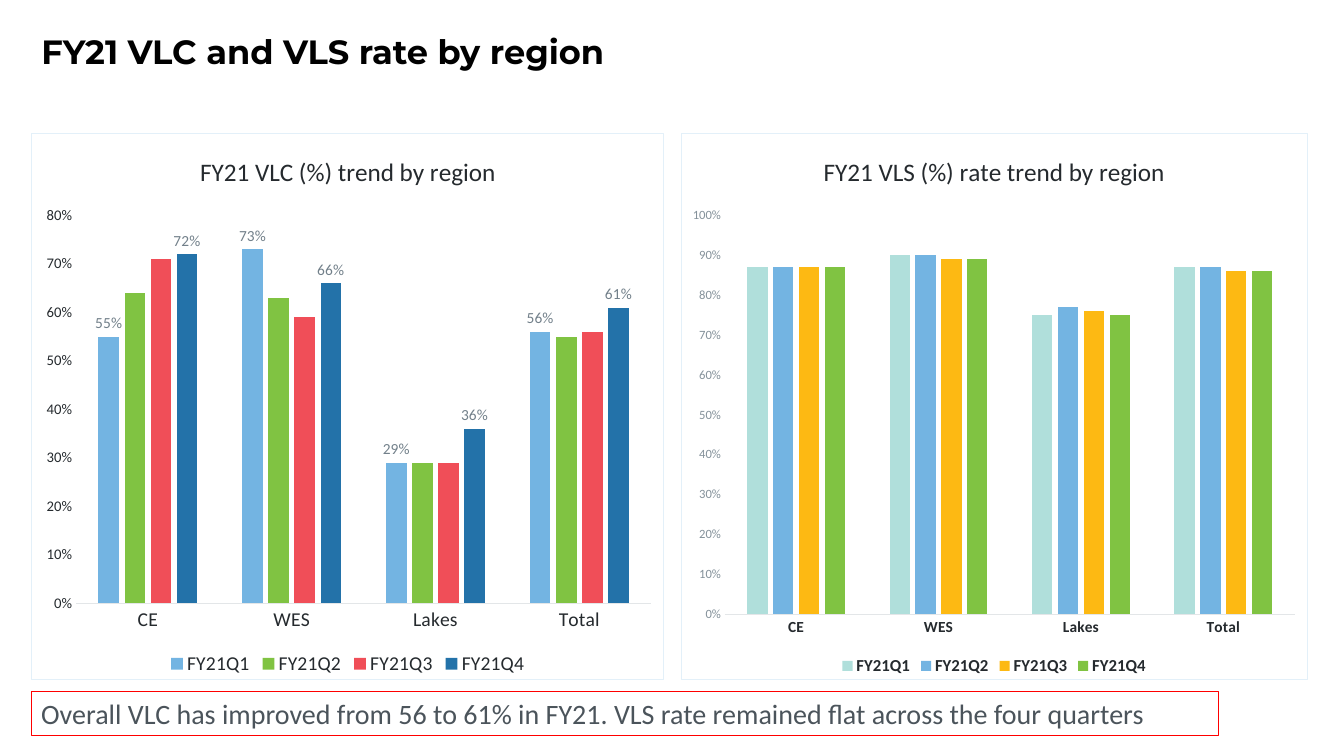
from dataclasses import dataclass

from lxml import etree
from pptx import Presentation
from pptx.chart.data import CategoryChartData
from pptx.dml.color import RGBColor
from pptx.enum import chart as ch, shapes, text
from pptx.oxml import parse_xml
from pptx.oxml.ns import nsdecls, qn
from pptx.util import Inches, Pt

DARK, BODY, LABEL, PALE = "252A2E", "4B545B", "72808A", "84919A"
AXIS_LINE, BORDER = "E3E6E8", "E3F0F9"
BLUE, GREEN = "73B4E2", "80C342"
REGIONS = ["CE", "WES", "Lakes", "Total"]
QUARTERS = ["FY21Q1", "FY21Q2", "FY21Q3", "FY21Q4"]
LEFT, CHART_TOP, CHART_HEIGHT = 0.31, 1.32, 5.43


@dataclass
class RateChart:
    title: str
    left: float
    width: float
    rates: list[list[float]]  # one row per quarter
    colors: list[str]
    maximum: float
    plot: tuple[float, float, float, float]  # x, y, w, h as shares of the chart
    category_size: float
    value_size: float
    value_color: str
    legend_size: float
    bold: bool = False
    labelled: tuple[str, ...] = ()


CHARTS = [
    RateChart("FY21 VLC (%) trend by region", LEFT, 6.28,
              [[0.55, 0.73, 0.29, 0.56], [0.64, 0.63, 0.29, 0.55],
               [0.71, 0.59, 0.29, 0.56], [0.72, 0.66, 0.36, 0.61]],
              [BLUE, GREEN, "F04E58", "2372A9"], 0.8, (0.07, 0.15, 0.91, 0.71),
              14, 10.5, DARK, 14, labelled=("FY21Q1", "FY21Q4")),
    RateChart("FY21 VLS (%) rate trend by region", 6.75, 6.22,
              [[0.87, 0.9, 0.75, 0.87], [0.87, 0.9, 0.77, 0.87],
               [0.87, 0.89, 0.76, 0.86], [0.87, 0.89, 0.75, 0.86]],
              ["B0DFDB", BLUE, "FDB913", GREEN], 1, (0.07, 0.15, 0.91, 0.73),
              11, 9, PALE, 12, bold=True),
]


def rgb(color: str) -> RGBColor:
    return RGBColor.from_string(color)


def set_font(font, size: float, color: str, name: str = "Calibri", bold: bool = False) -> None:
    font.size, font.name, font.bold = Pt(size), name, bold
    font.color.rgb = rgb(color)


def write(tf, content: str, align=text.PP_ALIGN.LEFT, **style) -> None:
    p = tf.paragraphs[0]
    p.alignment = align
    r = p.add_run()
    r.text = content
    set_font(r.font, **style)


def frame_chart(chart, plot: tuple[float, float, float, float]) -> None:
    """Fix the inner plot area and give the chart a thin border."""
    area = chart.element.find(".//" + qn("c:plotArea"))
    for old in area.findall(qn("c:layout")):
        area.remove(old)
    layout = parse_xml(f"<c:layout {nsdecls('c')}><c:manualLayout/></c:layout>")
    settings = [("layoutTarget", "inner"), ("xMode", "edge"), ("yMode", "edge"),
                *zip("xywh", map(str, plot))]
    for tag, value in settings:
        etree.SubElement(layout[0], qn(f"c:{tag}")).set("val", value)
    area.insert(0, layout)
    chart.element.find(qn("c:chart")).addnext(parse_xml(
        f'<c:spPr {nsdecls("c", "a")}><a:noFill/><a:ln w="{Pt(0.75)}"><a:solidFill>'
        f'<a:srgbClr val="{BORDER}"/></a:solidFill></a:ln></c:spPr>'))


def add_rate_chart(s, spec_: RateChart) -> None:
    data = CategoryChartData(number_format="0%")
    data.categories = REGIONS
    for quarter, rates in zip(QUARTERS, spec_.rates):
        data.add_series(quarter, rates)
    chart = s.shapes.add_chart(
        ch.XL_CHART_TYPE.COLUMN_CLUSTERED, Inches(spec_.left), Inches(CHART_TOP),
        Inches(spec_.width), Inches(CHART_HEIGHT), data).chart
    set_font(chart.font, 10, BODY)
    write(chart.chart_title.text_frame, spec_.title, text.PP_ALIGN.CENTER, size=18, color=DARK)
    chart.chart_title.include_in_layout = False

    chart.has_legend = True
    chart.legend.position = ch.XL_LEGEND_POSITION.BOTTOM
    chart.legend.include_in_layout = False
    set_font(chart.legend.font, spec_.legend_size, DARK, bold=spec_.bold)

    categories, values = chart.category_axis, chart.value_axis
    for axis in (categories, values):
        axis.has_major_gridlines = False
        axis.major_tick_mark = axis.minor_tick_mark = ch.XL_TICK_MARK.NONE
    set_font(categories.tick_labels.font, spec_.category_size, DARK, bold=spec_.bold)
    categories.format.line.color.rgb = rgb(AXIS_LINE)
    categories.format.line.width = Pt(0.75)
    set_font(values.tick_labels.font, spec_.value_size, spec_.value_color)
    values.tick_labels.number_format = "0%"
    values.tick_labels.number_format_is_linked = False
    values.format.line.fill.background()
    values.minimum_scale, values.maximum_scale, values.major_unit = 0, spec_.maximum, 0.1

    bars = chart.plots[0]
    bars.gap_width, bars.overlap, bars.vary_by_categories = 219, -27, False
    for series, color in zip(bars.series, spec_.colors):
        series.format.fill.solid()
        series.format.fill.fore_color.rgb = rgb(color)
        if series.name in spec_.labelled:
            labels = series.data_labels
            labels.show_value = True
            labels.number_format, labels.number_format_is_linked = "0%", False
            labels.position = ch.XL_LABEL_POSITION.OUTSIDE_END
            set_font(labels.font, 11, LABEL)
    frame_chart(chart, spec_.plot)


def add_title(s, content: str) -> None:
    title = s.shapes.title
    title.left, title.top = Inches(LEFT), Inches(0.16)
    title.width, title.height = Inches(12.36), Inches(0.7)
    title.text_frame.vertical_anchor = text.MSO_ANCHOR.MIDDLE
    write(title.text_frame, content, size=24, color="000000", name="Montserrat", bold=True)


def add_takeaway(s, content: str) -> None:
    sp = s.shapes.add_shape(shapes.MSO_SHAPE.RECTANGLE, Inches(LEFT), Inches(6.86),
                            Inches(11.78), Inches(0.44))
    sp.shadow.inherit = False
    sp.fill.background()
    sp.line.color.rgb = rgb("FF0000")
    sp.line.width = Pt(0.75)
    tf = sp.text_frame
    tf.word_wrap = True
    tf.auto_size = text.MSO_AUTO_SIZE.SHAPE_TO_FIT_TEXT
    tf.vertical_anchor = text.MSO_ANCHOR.TOP
    write(tf, content, size=20, color=BODY)


def main() -> None:
    prs = Presentation()
    prs.slide_width, prs.slide_height = Inches(13.33), Inches(7.5)
    s = prs.slides.add_slide(prs.slide_layouts.get_by_name("Title Only"))
    add_title(s, "FY21 VLC and VLS rate by region")
    for rate_chart in CHARTS:
        add_rate_chart(s, rate_chart)
    add_takeaway(s, "Overall VLC has improved from 56 to 61% in FY21. "
                    "VLS rate remained flat across the four quarters")
    prs.save("out.pptx")


if __name__ == "__main__":
    main()
